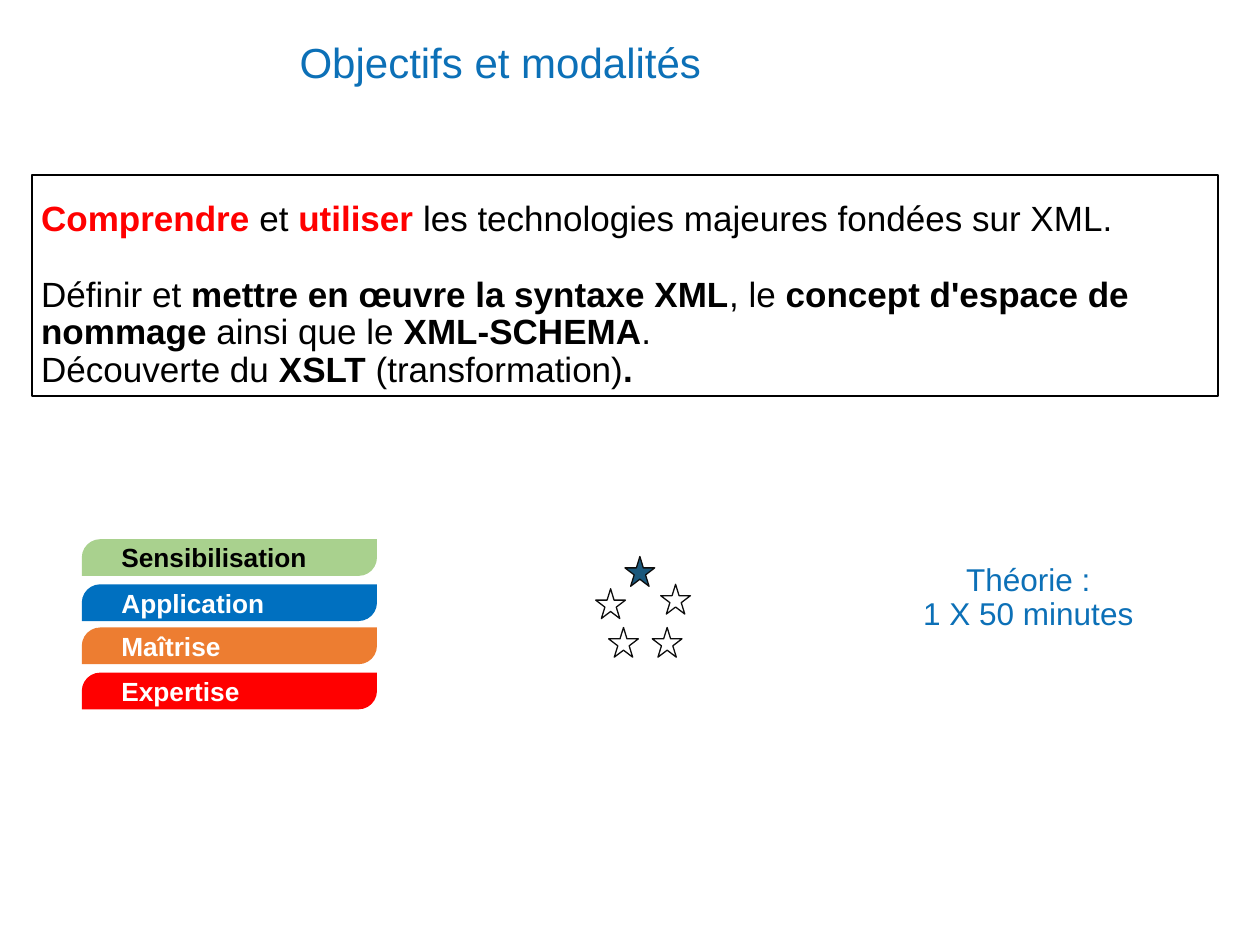
import pptx
import pptx.util
import pptx.dml.color
import pptx.enum.shapes
import pptx.enum.text

Cm = pptx.util.Cm
Pt = pptx.util.Pt
RGBColor = pptx.dml.color.RGBColor
Shape = pptx.enum.shapes.MSO_SHAPE
Align = pptx.enum.text.PP_ALIGN
Anchor = pptx.enum.text.MSO_ANCHOR

BLUE = RGBColor(0x0C, 0x70, 0xB7)
BLACK = RGBColor(0, 0, 0)
WHITE = RGBColor(0xFF, 0xFF, 0xFF)
RED = RGBColor(0xFF, 0, 0)
GREEN = RGBColor(0xA9, 0xD1, 0x8E)
LEVEL_BLUE = RGBColor(0, 0x70, 0xC0)
ORANGE = RGBColor(0xED, 0x7D, 0x31)
STAR_BLUE = RGBColor(0x1B, 0x58, 0x7C)
STAR_LINE = RGBColor(0x0D, 0x0D, 0x0D)

LEVELS = [
    ("Sensibilisation", 10.87, GREEN, BLACK),
    ("Application", 11.78, LEVEL_BLUE, WHITE),
    ("Maîtrise", 12.65, ORANGE, WHITE),
    ("Expertise", 13.56, RED, WHITE),
]
STARS = [
    (12.6, 11.22, STAR_BLUE),
    (13.32, 11.78, WHITE),
    (13.15, 12.65, WHITE),
    (12.27, 12.65, WHITE),
    (12.01, 11.87, WHITE),
]
OBJECTIVES = [
    [("Comprendre", True, RED), (" et ", False, BLACK), ("utiliser", True, RED),
     (" les technologies majeures fondées sur XML.", False, BLACK)],
    [("Définir et ", False, BLACK), ("mettre en œuvre la syntaxe XML", True, BLACK),
     (", le ", False, BLACK), ("concept d'espace de nommage", True, BLACK),
     (" ainsi que le ", False, BLACK), ("XML-SCHEMA", True, BLACK), (".", False, BLACK)],
    [("Découverte du ", False, BLACK), ("XSLT", True, BLACK),
     (" (transformation)", False, BLACK), (".", True, BLACK)],
]


def style_paragraph(para, size, color=None, bold=None):
    para.font.name = "Arial"
    para.font.size = Pt(size)
    para.font.bold = bold
    if color is not None:
        para.font.color.rgb = color


def add_label(page, left, top, width, height, lines, size, align):
    box = page.shapes.add_textbox(Cm(left), Cm(top), Cm(width), Cm(height))
    frame = box.text_frame
    frame.word_wrap = True
    frame.vertical_anchor = Anchor.MIDDLE
    frame.text = "\n".join(lines)
    for para in frame.paragraphs:
        para.alignment = align
        para.line_spacing = 0.9
        style_paragraph(para, size, BLUE)


def add_filled_shape(page, kind, left, top, width, height, fill, line=None, line_width=0.75):
    shape = page.shapes.add_shape(kind, Cm(left), Cm(top), Cm(width), Cm(height))
    shape.shadow.inherit = False
    shape.fill.solid()
    shape.fill.fore_color.rgb = fill
    if line is None:
        shape.line.fill.background()
    else:
        shape.line.color.rgb = line
        shape.line.width = Pt(line_width)
    return shape


def add_level(page, name, top, fill, color):
    tab = add_filled_shape(page, Shape.ROUND_2_DIAG_RECTANGLE, 1.65, top, 5.95, 0.74, fill)
    tab.adjustments[0] = 0.5
    frame = tab.text_frame
    frame.margin_left = Cm(0.69)
    frame.margin_top = frame.margin_bottom = 0
    frame.vertical_anchor = Anchor.MIDDLE
    frame.text = name
    para = frame.paragraphs[0]
    para.alignment = Align.LEFT
    style_paragraph(para, 15, color, True)


def add_objectives(page):
    box = add_filled_shape(page, Shape.RECTANGLE, 0.65, 3.53, 23.9, 4.45, WHITE, BLACK, 1)
    frame = box.text_frame
    frame.word_wrap = True
    frame.vertical_anchor = Anchor.TOP
    frame.margin_left, frame.margin_top = Cm(0.18), Cm(0.53)
    frame.margin_right, frame.margin_bottom = 0, Cm(0.76)
    for index, spans in enumerate(OBJECTIVES):
        para = frame.add_paragraph() if index else frame.paragraphs[0]
        para.alignment = Align.LEFT
        para.line_spacing = 0.9
        style_paragraph(para, 20)
        for text, bold, color in spans:
            span = para.add_run()
            span.text = text
            span.font.bold = bold
            span.font.color.rgb = color
    frame.paragraphs[1].space_before = Pt(21.5)


def main():
    deck = pptx.Presentation()
    deck.slide_width, deck.slide_height = Cm(25.4), Cm(19.05)
    page = deck.slides.add_slide(deck.slide_layouts[6])
    add_label(page, 5.79, 0.41, 19.61, 1.8, ["Objectifs et modalités"], 24, Align.LEFT)
    add_objectives(page)
    for level in LEVELS:
        add_level(page, *level)
    for left, top, fill in STARS:
        add_filled_shape(page, Shape.STAR_5_POINT, left, top, 0.6, 0.6, fill, STAR_LINE)
    add_label(page, 18.24, 11.23, 4.98, 1.65, ["Théorie :", "1 X 50 minutes"], 18, Align.CENTER)
    deck.save("out.pptx")


if __name__ == "__main__":
    main()
